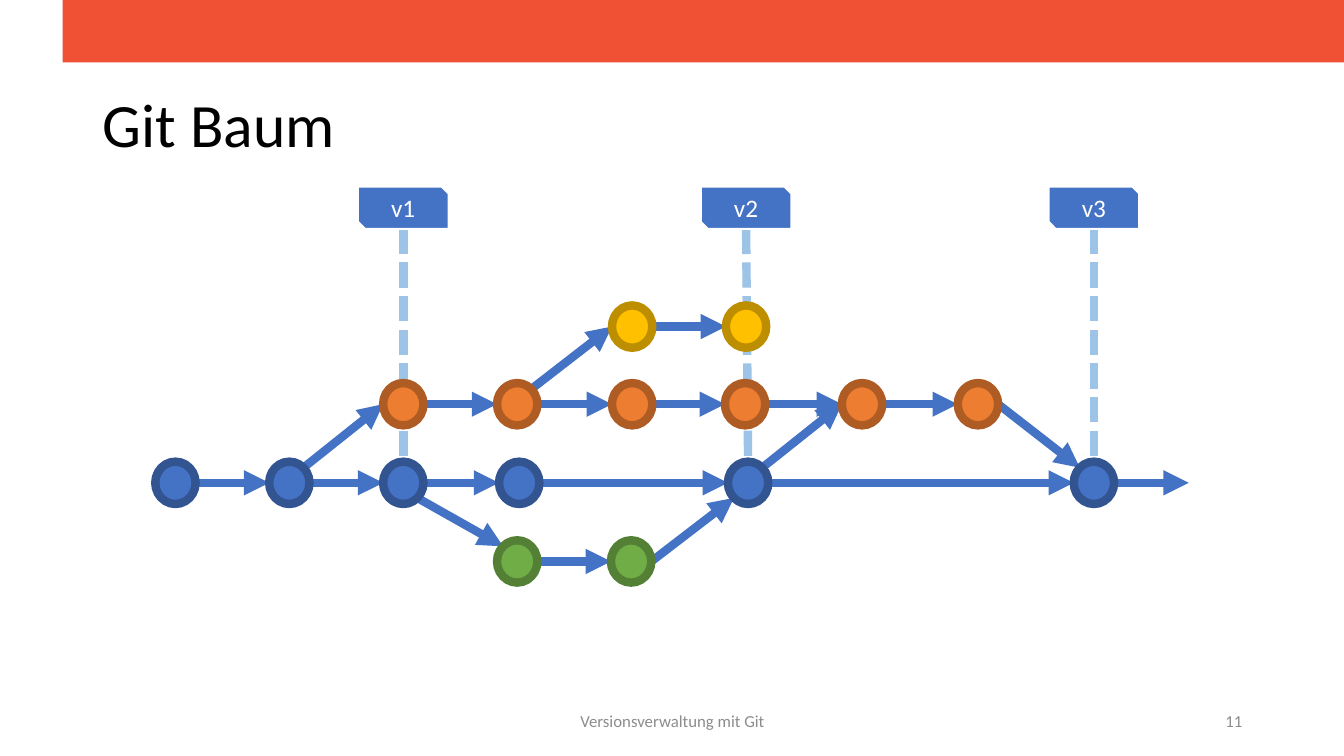
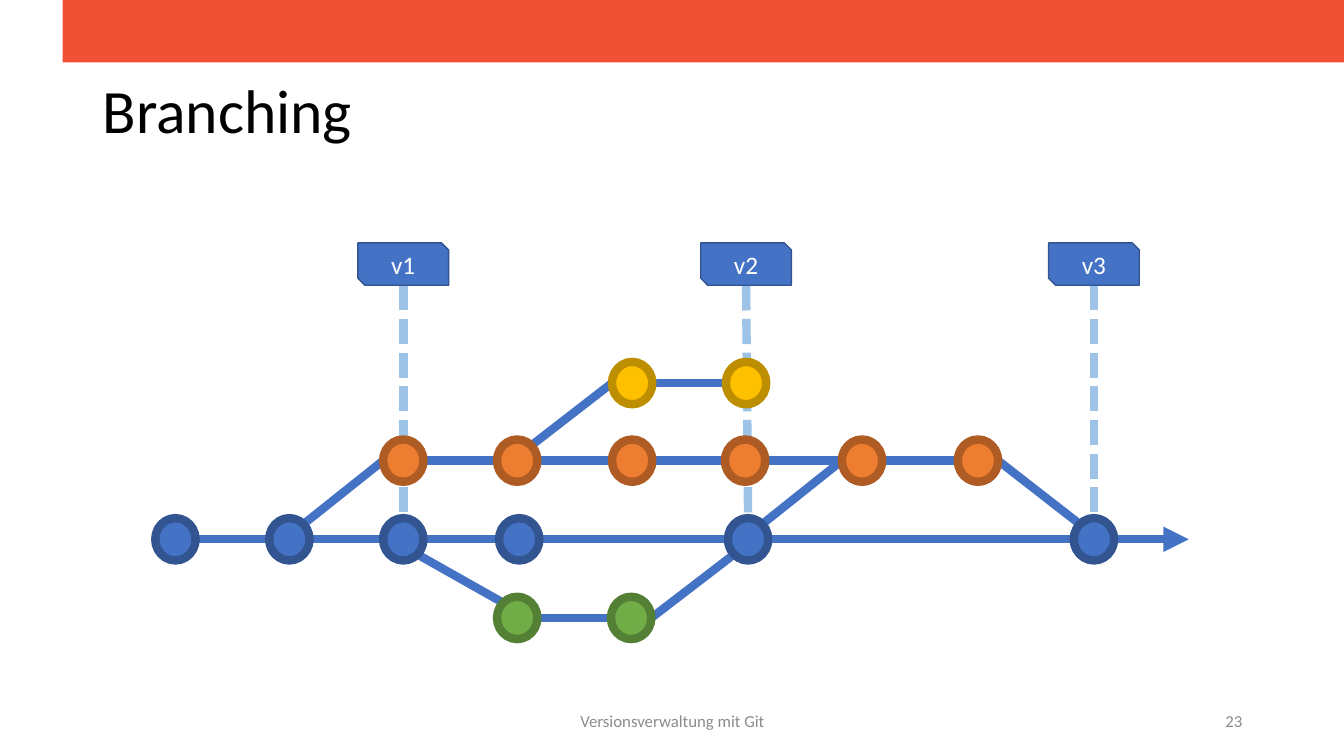
from pptx import Presentation
from pptx.dml.color import RGBColor
from pptx.enum.dml import MSO_LINE
from pptx.enum.shapes import MSO_CONNECTOR, MSO_SHAPE
from pptx.enum.text import MSO_ANCHOR as ANCHOR, PP_ALIGN as ALIGN
from pptx.oxml.ns import qn
from pptx.util import Emu, Pt
from lxml.etree import SubElement

PX = 9144
COLORS = {
    "white": "FFFFFF", "black": "000000", "gray": "8C8C8C",
    "band": "F05033", "dash": "9DC3E6",
    "main": "4472C4", "main_edge": "325491",
    "feature": "ED7D31", "feature_edge": "AF5C24",
    "hotfix": "70AD47", "hotfix_edge": "538035",
    "trial": "FFC000", "trial_edge": "BD8E00",
}
NODE_WIDTH, NODE_HEIGHT = 40, 42
SITES = {
    "left": (-20, 0), "right": (20, 0), "top": (0, -21),
    "upper left": (-14, -15), "upper right": (14, -15),
    "lower left": (-14, 15), "lower right": (14, 15),
}
BRANCHES = {
    "main": (294, [174, 287, 400, 515, 742, 1085]),
    "feature": (216, [400, 513, 627, 739, 855, 970]),
    "hotfix": (372, [513, 626]),
    "trial": (139, [627, 740]),
}
FORKS = [
    (("main", 1), "upper right", ("feature", 0), "left"),
    (("main", 2), "lower right", ("hotfix", 0), "upper left"),
    (("feature", 1), "upper right", ("trial", 0), "left"),
    (("hotfix", 1), "right", ("main", 4), "lower left"),
    (("main", 4), "upper right", ("feature", 4), "left"),
    (("feature", 5), "right", ("main", 5), "upper left"),
]
TAGS = [("v1", 400, 2), ("v2", 740, 4), ("v3", 1085, 5)]
TAG_WIDTH, TAG_HEIGHT = 90, 42


def color(name):
    return RGBColor.from_string(COLORS[name])


class Deck:
    """Draw slides in one shared style."""

    def __init__(self):
        self.presentation = Presentation()
        self.presentation.slide_width = Emu(1333 * PX)
        self.presentation.slide_height = Emu(750 * PX)
        self.slide = None

    def add_slide(self, title, title_top, title_height, number):
        self.slide = self.presentation.slides.add_slide(self.presentation.slide_layouts[6])
        self.shape(MSO_SHAPE.RECTANGLE, 62, 0, 1271, 62, "band")
        self.text(title, 92, title_top, 1150, title_height, 44, "black", ALIGN.LEFT, 0.9)
        self.text("Versionsverwaltung mit Git", 442, 695, 450, 40, 12, "gray", ALIGN.CENTER)
        self.text(number, 942, 695, 300, 40, 12, "gray", ALIGN.RIGHT)

    def set_text(self, shape, text, size, font_color, align, spacing=None):
        frame = shape.text_frame
        frame.word_wrap = True
        frame.vertical_anchor = ANCHOR.MIDDLE
        frame.text = text
        paragraph = frame.paragraphs[0]
        paragraph.alignment = align
        paragraph.line_spacing = spacing
        font = paragraph.runs[0].font
        font.name, font.size = "Calibri", Pt(size)
        font.color.rgb = color(font_color)

    def text(self, text, left, top, width, height, *style):
        box = self.slide.shapes.add_textbox(*(Emu(n * PX) for n in (left, top, width, height)))
        self.set_text(box, text, *style)

    def shape(self, kind, left, top, width, height, fill, edge=None, edge_width=0):
        shape = self.slide.shapes.add_shape(kind, *(Emu(n * PX) for n in (left, top, width, height)))
        shape.shadow.inherit = False
        shape.fill.solid()
        shape.fill.fore_color.rgb = color(fill)
        if edge:
            shape.line.color.rgb = color(edge)
            shape.line.width = Pt(edge_width)
        else:
            shape.line.fill.background()
        return shape

    def line(self, start, end, line_color, dashed=False, arrow=False):
        connector = self.slide.shapes.add_connector(
            MSO_CONNECTOR.STRAIGHT, *(Emu(n * PX) for n in (*start, *end)))
        connector.line.color.rgb = color(line_color)
        connector.line.width = Pt(6)
        if dashed:
            connector.line.dash_style = MSO_LINE.SQUARE_DOT
        properties = connector._element.spPr
        if arrow:
            SubElement(properties.find(qn("a:ln")), qn("a:tailEnd"), type="triangle")
        SubElement(properties, qn("a:effectLst"))

    def commit(self, branch, x, y):
        self.shape(MSO_SHAPE.OVAL, x - NODE_WIDTH // 2, y - NODE_HEIGHT // 2,
                   NODE_WIDTH, NODE_HEIGHT, branch, f"{branch}_edge", 6)

    def tag(self, label, x, top, edge, edge_width):
        shape = self.shape(MSO_SHAPE.SNIP_2_DIAG_RECTANGLE, x - TAG_WIDTH // 2, top,
                           TAG_WIDTH, TAG_HEIGHT, "main", edge, edge_width)
        self.set_text(shape, label, 18, "white", ALIGN.CENTER)

    def git_tree(self, top, arrows, tag_edge, tag_edge_width):
        def site(commit, side):
            branch, index = commit
            y, centers = BRANCHES[branch]
            dx, dy = SITES[side]
            return centers[index] + dx, top + y + dy

        for label, x, index in TAGS:
            self.line((x, top + TAG_HEIGHT), site(("main", index), "top"), "dash", dashed=True)
        steps = [((branch, index), "right", (branch, index + 1), "left")
                 for branch, (y, centers) in BRANCHES.items()
                 for index in range(len(centers) - 1)]
        for source, exit_side, target, entry_side in steps + FORKS:
            self.line(site(source, exit_side), site(target, entry_side), "main", arrow=arrows)
        tip_x, tip_y = site(("main", 5), "right")
        self.line((tip_x, tip_y), (tip_x + 74, tip_y), "main", arrow=True)
        for branch, (y, centers) in BRANCHES.items():
            for x in centers:
                self.commit(branch, x, top + y)
        for label, x, index in TAGS:
            self.tag(label, x, top, tag_edge, tag_edge_width)


def main():
    deck = Deck()
    deck.add_slide("Git Baum", 69, 116, "11")
    deck.git_tree(185, True, "white", 1.5)
    deck.add_slide("Branching", 40, 145, "23")
    deck.git_tree(241, False, "main_edge", 1)
    deck.presentation.save("out.pptx")


if __name__ == "__main__":
    main()
